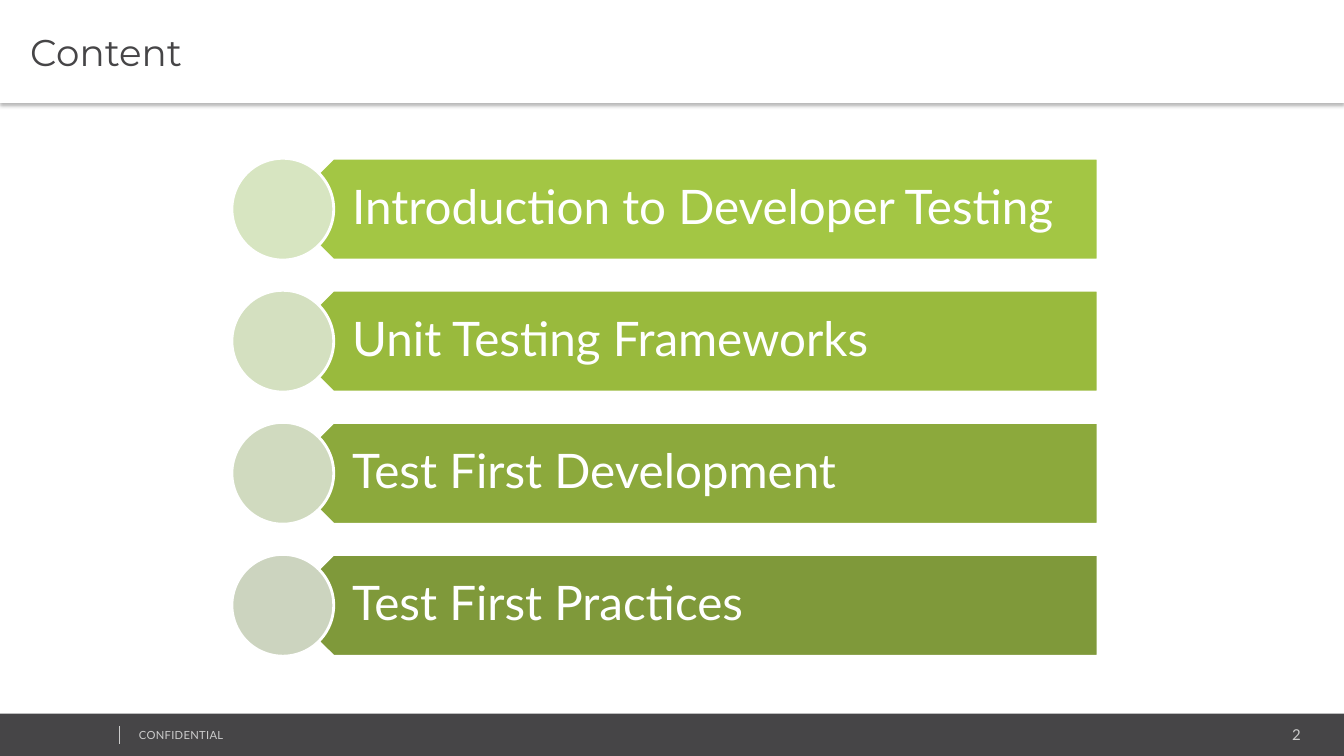
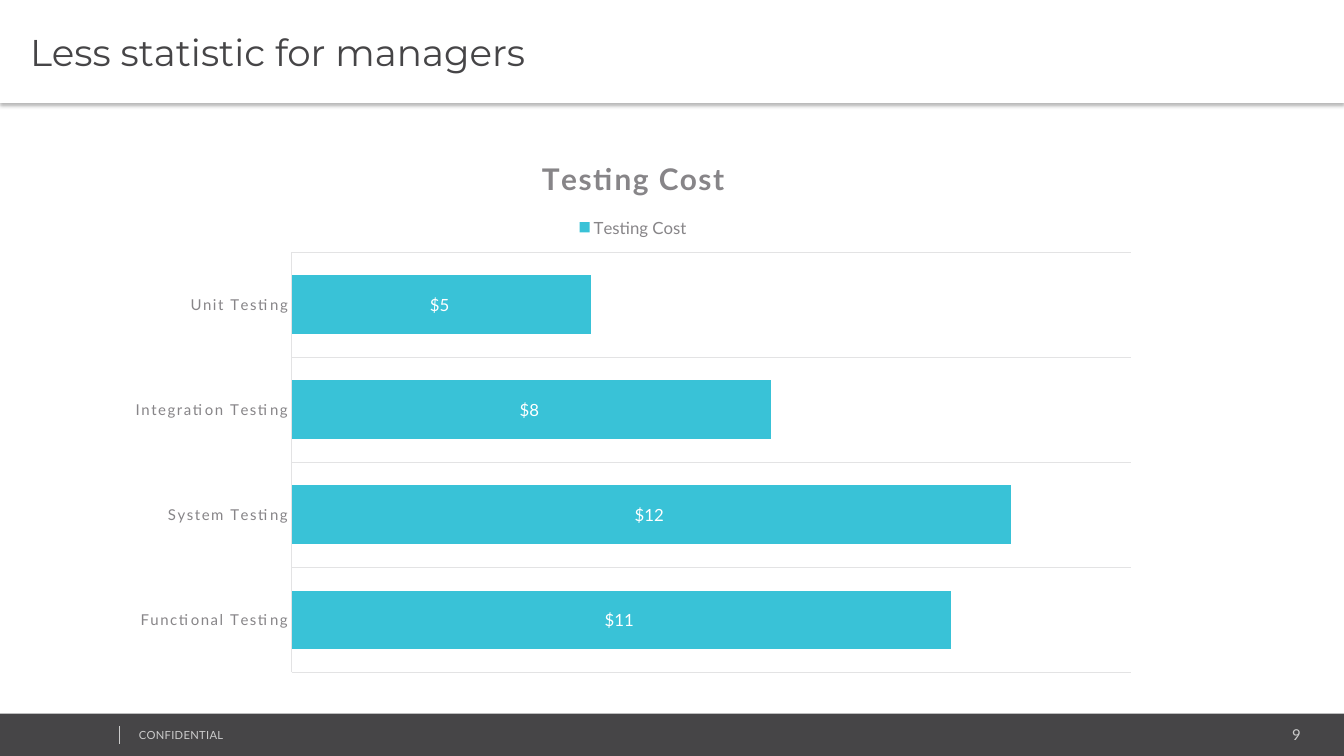
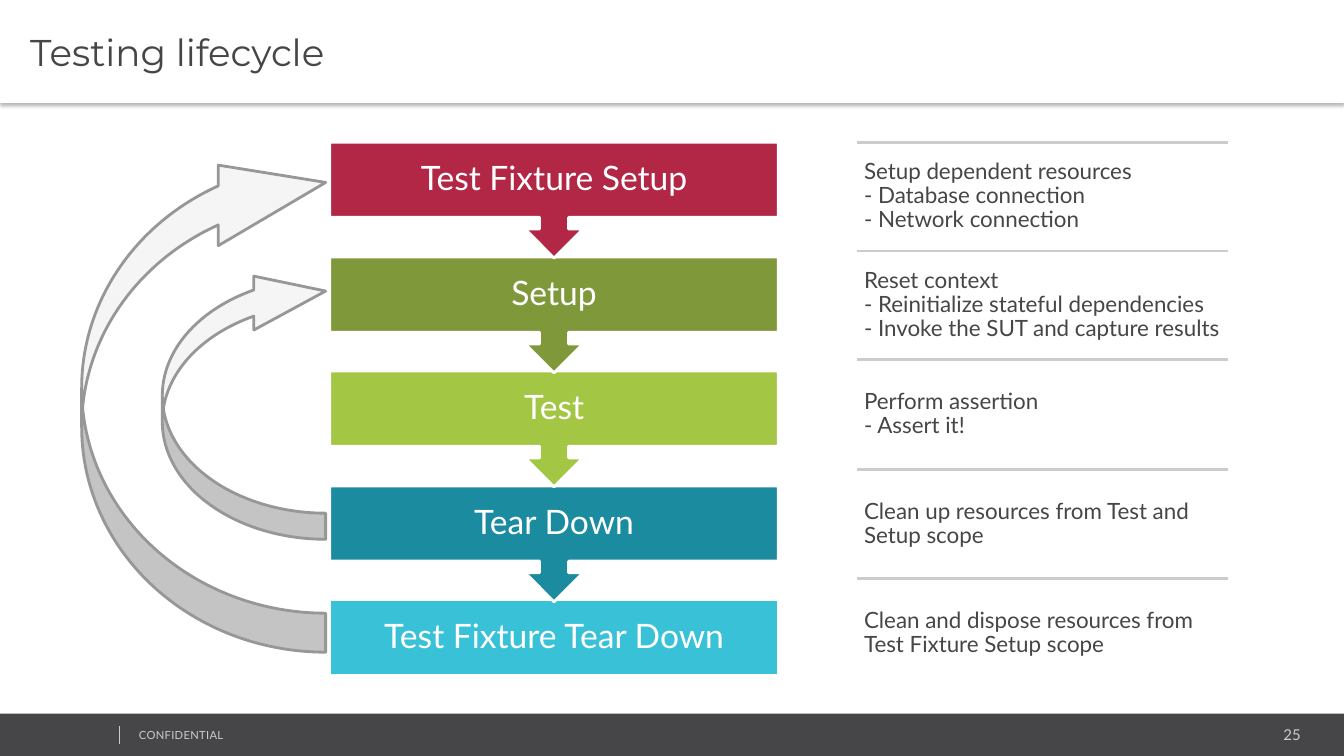
import collections

import lxml.etree
import pptx
import pptx.chart.data
import pptx.dml.color
import pptx.enum.chart
import pptx.enum.shapes
import pptx.enum.text
import pptx.oxml.ns
import pptx.util

RGBColor = pptx.dml.color.RGBColor
WHITE = RGBColor(0xFF, 0xFF, 0xFF)
BLACK = RGBColor(0x00, 0x00, 0x00)
CHARCOAL = RGBColor(0x46, 0x45, 0x47)
CHART_GRAY = RGBColor(0x87, 0x85, 0x88)
ARROW_GRAY = RGBColor(0x97, 0x97, 0x97)
RULE_GRAY = RGBColor(0xCC, 0xCC, 0xCC)
GRID_GRAY = RGBColor(0xE3, 0xE3, 0xE4)
PALE_GRAY = RGBColor(0xF5, 0xF5, 0xF5)
CYAN = RGBColor(0x39, 0xC2, 0xD7)
TEAL = RGBColor(0x1B, 0x8B, 0xA0)
LIME = RGBColor(0xA3, 0xC6, 0x44)
OLIVE = RGBColor(0x7F, 0x99, 0x3A)
CRIMSON = RGBColor(0xB2, 0x27, 0x46)
LEAF = RGBColor(0x99, 0xBA, 0x3D)
MOSS = RGBColor(0x8C, 0xA9, 0x3C)
LIME_TINT = RGBColor(0xD7, 0xE5, 0xC1)
LEAF_TINT = RGBColor(0xD4, 0xE0, 0xC0)
MOSS_TINT = RGBColor(0xD0, 0xDA, 0xBF)
OLIVE_TINT = RGBColor(0xCC, 0xD4, 0xBF)

EMU_PER_PX = 9144
Box = collections.namedtuple("Box", "left top width height")
PAGE = Box(0, 0, 1333, 750)
TITLE_BAND = Box(0, 0, 1333, 102)
FOOTER_BAND = Box(0, 708, 1333, 42)

SHAPE = pptx.enum.shapes.MSO_SHAPE
ALIGN = pptx.enum.text.PP_ALIGN
ANCHOR = pptx.enum.text.MSO_ANCHOR
DOLLARS = r'"$"#,##0_);[Red]\("$"#,##0\)'

AGENDA = [
    ("Introduction to Developer Testing", LIME, LIME_TINT),
    ("Unit Testing Frameworks", LEAF, LEAF_TINT),
    ("Test First Development", MOSS, MOSS_TINT),
    ("Test First Practices", OLIVE, OLIVE_TINT),
]
COSTS = {
    "Functional Testing": 11,
    "System Testing": 12,
    "Integration Testing": 8,
    "Unit Testing": 5,
}
STAGES = [
    ("Test Fixture Setup", CRIMSON),
    ("Setup", OLIVE),
    ("Test", LIME),
    ("Tear Down", TEAL),
    ("Test Fixture Tear Down", CYAN),
]
DETAILS = [
    ["Setup dependent resources", "- Database connection", "- Network connection"],
    ["Reset context", "- Reinitialize stateful dependencies",
     "- Invoke the SUT and capture results"],
    ["Perform assertion", "- Assert it!"],
    ["Clean up resources from Test and Setup scope"],
    ["Clean and dispose resources from Test Fixture Setup scope"],
]


def px(*lengths):
    return [pptx.util.Emu(length * EMU_PER_PX) for length in lengths]


def offset(index, length, parts):
    return (index * length + parts // 2) // parts


def set_all(target, values):
    for name, value in values.items():
        setattr(target, name, value)


def format_font(font, size, color, name="Lato", bold=False, spacing=0):
    set_all(font, {"size": pptx.util.Pt(size), "name": name, "bold": bold})
    font.color.rgb = color
    if spacing:
        font._element.set("spc", str(spacing))


def write(shape, lines, size, color, insets=(10, 5, 10, 5), align=ALIGN.LEFT,
          anchor=ANCHOR.MIDDLE, line_spacing=None, **font_format):
    frame = shape.text_frame
    sides = ("margin_left", "margin_top", "margin_right", "margin_bottom")
    set_all(frame, dict(zip(sides, px(*insets))))
    set_all(frame, {
        "word_wrap": True,
        "auto_size": pptx.enum.text.MSO_AUTO_SIZE.NONE,
        "vertical_anchor": anchor,
    })
    for index, line in enumerate(lines):
        para = frame.add_paragraph() if index else frame.paragraphs[0]
        set_all(para, {"alignment": align, "line_spacing": line_spacing})
        span = para.add_run()
        span.text = line
        format_font(span.font, size, color, **font_format)


def add_block(page, kind, box, fill, outline=None):
    block = page.shapes.add_shape(kind, *px(*box))
    block.shadow.inherit = False
    block.fill.solid()
    block.fill.fore_color.rgb = fill
    if outline is None:
        block.line.fill.background()
    else:
        block.line.color.rgb = outline
        block.line.width = pptx.util.Pt(2)
    return block


def add_rule(page, start, end, weight):
    rule = page.shapes.add_connector(
        pptx.enum.shapes.MSO_CONNECTOR.STRAIGHT, *px(*start, *end))
    rule.line.color.rgb = RULE_GRAY
    rule.line.width = pptx.util.Pt(weight)
    lxml.etree.SubElement(rule._element.spPr, pptx.oxml.ns.qn("a:effectLst"))


def add_shadow(shape):
    qn = pptx.oxml.ns.qn
    shape.shadow.inherit = False
    effects = shape._element.spPr.find(qn("a:effectLst"))
    shadow = lxml.etree.SubElement(
        effects, qn("a:outerShdw"), blurRad="39370", dist="25400",
        dir="5400000", algn="t", rotWithShape="0")
    color = lxml.etree.SubElement(shadow, qn("a:srgbClr"), val=str(BLACK))
    lxml.etree.SubElement(color, qn("a:alpha"), val="30000")


def add_title(page, box, text):
    title = page.shapes.title
    set_all(title, dict(zip(Box._fields, px(*box))))
    title.fill.solid()
    title.fill.fore_color.rgb = WHITE
    add_shadow(title)
    write(title, [text], 26.6, CHARCOAL, (30, 4, 7, 4), name="Montserrat")


def add_footer(page, box, number):
    add_block(page, SHAPE.RECTANGLE, box, CHARCOAL)
    number_box = page.shapes.add_textbox(*px(box.left + 1082, box.top + 7, 218, 28))
    write(number_box, [str(number)], 10.7, RULE_GRAY, align=ALIGN.RIGHT,
          anchor=ANCHOR.TOP)
    notice = page.shapes.add_textbox(*px(box.left + 128, box.top + 10, 338, 24))
    write(notice, ["CONFIDENTIAL"], 8, RULE_GRAY, anchor=ANCHOR.TOP, spacing=20)
    divider = box.left + 118
    add_rule(page, (divider, box.top + 12), (divider, box.top + 30), 0.25)


def add_page(deck, title, number):
    page = deck.slides.add_slide(deck.slide_layouts[5])
    add_title(page, TITLE_BAND, title)
    add_footer(page, FOOTER_BAND, number)
    return page


def add_agenda(page, box, items):
    disc = 101
    pitch = (box.height - disc) // (len(items) - 1)
    for index, (text, fill, tint) in enumerate(items):
        top = box.top + index * pitch
        plate_box = Box(box.left + disc // 2, top, box.width - disc // 2, disc)
        plate = add_block(page, SHAPE.PENTAGON, plate_box, fill, WHITE)
        plate._element.spPr.xfrm.set("flipH", "1")
        write(plate, [text], 34, WHITE, (44, 14, 26, 14), line_spacing=0.9)
        add_block(page, SHAPE.OVAL, Box(box.left, top, disc, disc), tint, WHITE)


def add_cost_chart(page, box, costs):
    enums = pptx.enum.chart
    data = pptx.chart.data.CategoryChartData(number_format=DOLLARS)
    data.categories = list(costs)
    data.add_series("Testing Cost", list(costs.values()))
    chart = page.shapes.add_chart(
        enums.XL_CHART_TYPE.BAR_STACKED, *px(*box), data).chart
    format_font(chart.font, 10, CHARCOAL)

    heading = chart.chart_title
    heading.include_in_layout = False
    span = heading.text_frame.paragraphs[0].add_run()
    span.text = "Testing Cost"
    format_font(span.font, 21.28, CHART_GRAY, bold=True, spacing=120)

    chart.has_legend = True
    set_all(chart.legend, {"position": enums.XL_LEGEND_POSITION.TOP,
                           "include_in_layout": False})
    format_font(chart.legend.font, 11.97, CHART_GRAY)

    categories = chart.category_axis
    set_all(categories, {"has_major_gridlines": True,
                         "major_tick_mark": enums.XL_TICK_MARK.NONE,
                         "minor_tick_mark": enums.XL_TICK_MARK.NONE})
    for line in (categories.format.line, categories.major_gridlines.format.line):
        line.color.rgb = GRID_GRAY
        line.width = pptx.util.Pt(0.75)
    format_font(categories.tick_labels.font, 10.64, CHART_GRAY, spacing=120)
    set_all(chart.value_axis, {"visible": False, "has_major_gridlines": False,
                               "minimum_scale": 0, "maximum_scale": 14})

    plot = chart.plots[0]
    set_all(plot, {"gap_width": 79, "overlap": 100, "vary_by_categories": False})
    bars = plot.series[0]
    bars.format.fill.solid()
    bars.format.fill.fore_color.rgb = CYAN
    labels = bars.data_labels
    set_all(labels, {"show_value": True, "number_format": DOLLARS,
                     "number_format_is_linked": False,
                     "position": enums.XL_LABEL_POSITION.CENTER})
    format_font(labels.font, 11.97, WHITE)


def add_stages(page, box, stages):
    body, callout = 75, 115
    last = len(stages) - 1
    for index, (text, fill) in reversed(list(enumerate(stages))):
        top = box.top + offset(index, box.height - body, last)
        kind, height = ((SHAPE.RECTANGLE, body) if index == last
                        else (SHAPE.DOWN_ARROW_CALLOUT, callout))
        stage = add_block(page, kind, Box(box.left, top, box.width, height), fill, WHITE)
        write(stage, [text], 24, WHITE, (19, 0, 19, 0), ALIGN.CENTER, line_spacing=0.9)


def add_loop_arrow(page, box):
    arrow = add_block(page, SHAPE.CURVED_LEFT_ARROW, box, PALE_GRAY, ARROW_GRAY)
    arrow.rotation = 180
    for index, value in enumerate((0.16, 0.33, 0.44)):
        arrow.adjustments[index] = value


def add_details(page, box, details):
    count = len(details)
    for index, lines in enumerate(details):
        top = box.top + offset(index, box.height, count)
        add_rule(page, (box.left, top), (box.left + box.width, top), 2)
        detail = page.shapes.add_textbox(
            *px(box.left, top, box.width, box.height // count))
        write(detail, lines, 16, CHARCOAL, (7, 7, 7, 7), line_spacing=0.9)


def main():
    deck = pptx.Presentation()
    deck.slide_width, deck.slide_height = px(PAGE.width, PAGE.height)

    content = add_page(deck, "Content", 2)
    add_agenda(content, Box(230, 157, 859, 494), AGENDA)

    statistics = add_page(deck, "Less statistic for managers", 9)
    add_cost_chart(statistics, Box(114, 135, 1028, 543), COSTS)

    lifecycle = add_page(deck, "Testing lifecycle", 25)
    add_stages(lifecycle, Box(327, 141, 445, 529), STAGES)
    for loop_box in (Box(81, 141, 242, 506), Box(161, 262, 162, 273)):
        add_loop_arrow(lifecycle, loop_box)
    add_details(lifecycle, Box(850, 141, 368, 541), DETAILS)

    deck.save("out.pptx")


if __name__ == "__main__":
    main()
